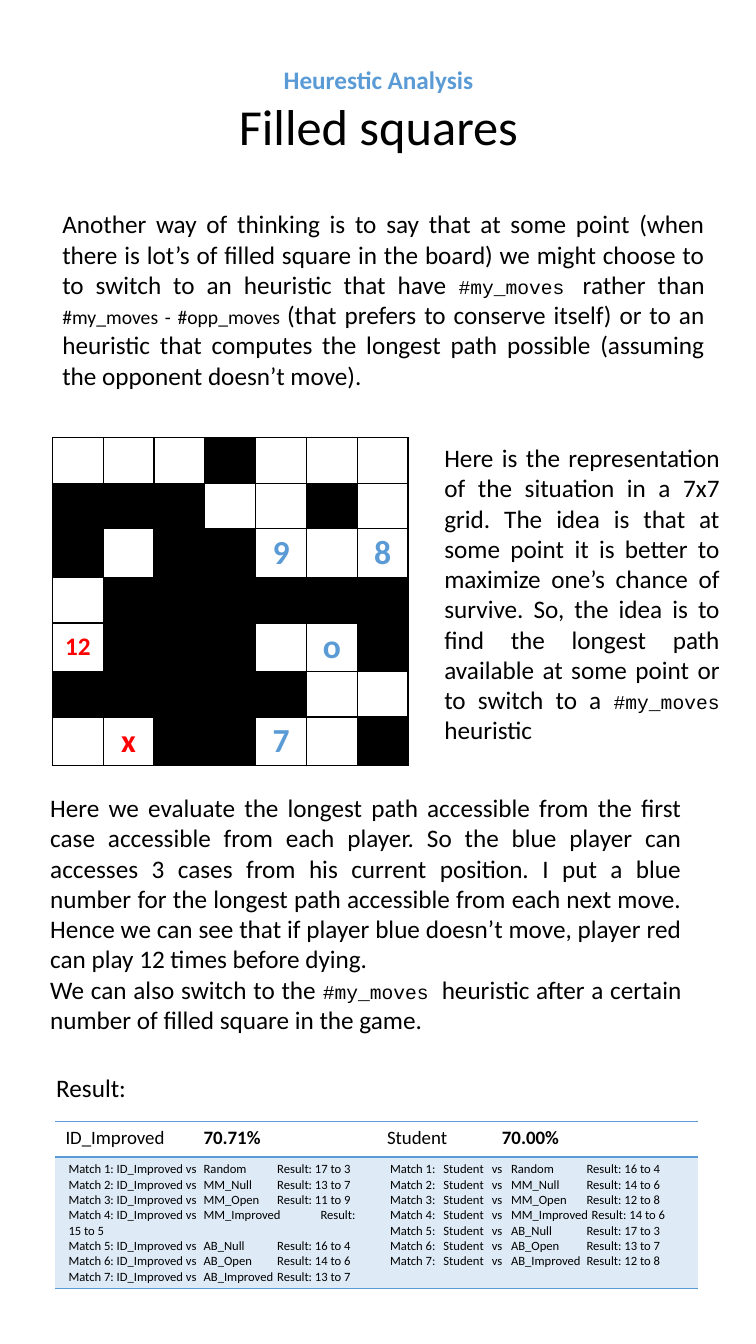
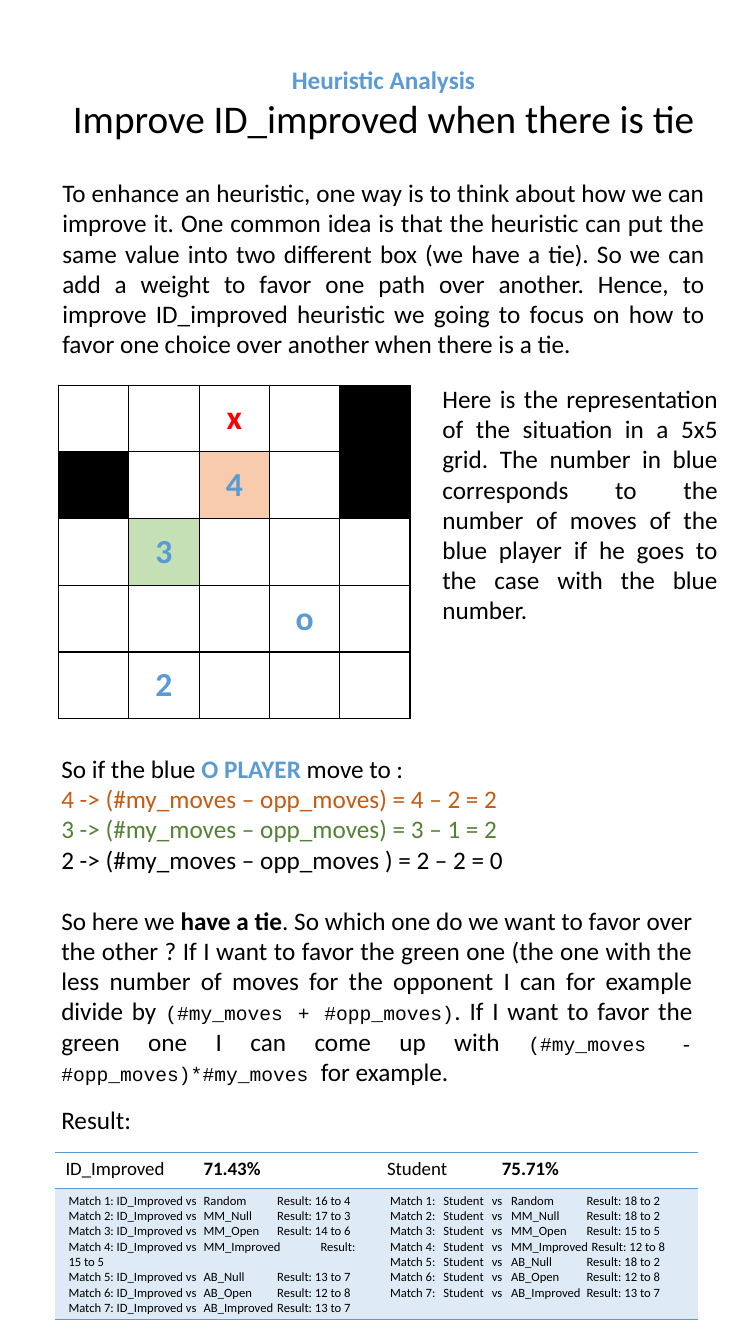
"""Build two slides of a heuristic analysis for a board game."""
from lxml.etree import SubElement
from pptx import Presentation
from pptx.dml.color import RGBColor
from pptx.enum.text import MSO_ANCHOR, MSO_AUTO_SIZE, PP_ALIGN
from pptx.oxml.ns import qn
from pptx.util import Inches, Pt

WIDTH, HEIGHT = Inches(7.5), Inches(13.33)
UNIT = WIDTH / 75
COLORS = {
    "black": "000000", "white": "FFFFFF", "blue": "5B9BD5", "red": "FF0000",
    "orange": "C55A11", "green": "548235", "peach": "F8CBAD",
    "mint": "C5E0B4", "pale": "DEEBF7",
}
BODY_FONT = "Calibri"
BODY = {"size": 18}
CODE = {"size": 14, "name": "Courier New"}
SMALL = {"size": 14}
BOLD = {"bold": True}
BLUE_BOLD = {"color": "blue", "bold": True}
OPPONENTS = ["Random", "MM_Null", "MM_Open", "MM_Improved",
             "AB_Null", "AB_Open", "AB_Improved"]
RED_PIECES = ("x", "12")


def grid(*cells):
    """Turn grid columns and rows into slide lengths."""
    return [round(cell * UNIT) for cell in cells]


def rgb(color):
    """Look up a named colour."""
    return RGBColor.from_string(COLORS[color])


def style(font, size=None, name=None, color=None, bold=None):
    """Set the given properties of a font."""
    if size:
        font.size = Pt(size)
    if name:
        font.name = name
    if color:
        font.color.rgb = rgb(color)
    if bold is not None:
        font.bold = bold


def write(paragraph, content, align=None, **look):
    """Fill a paragraph with plain text or with (text, look) pieces."""
    paragraph.alignment = align
    style(paragraph.font, **{"name": BODY_FONT, "color": "black", **look})
    pieces = [content] if isinstance(content, str) else content
    for piece in pieces:
        text, change = (piece, {}) if isinstance(piece, str) else piece
        run = paragraph.add_run()
        run.text = text
        style(run.font, **change)


def paragraphs(frame, count):
    """Yield the first paragraph of a frame and then new ones."""
    yield frame.paragraphs[0]
    for _ in range(count - 1):
        yield frame.add_paragraph()


def text_block(slide, place, lines):
    """Add a text box whose lines are (content, settings) pairs."""
    frame = slide.shapes.add_textbox(*grid(*place)).text_frame
    frame.word_wrap = True
    frame.auto_size = MSO_AUTO_SIZE.SHAPE_TO_FIT_TEXT
    for paragraph, (content, settings) in zip(paragraphs(frame, len(lines)), lines):
        write(paragraph, content, **{**BODY, **settings})
    return frame


def justified(slide, place, *contents):
    """Add justified body text."""
    return text_block(slide, place,
                      [(content, {"align": PP_ALIGN.JUSTIFY}) for content in contents])


def heading(slide, place, topic, title, size):
    """Add the blue topic line and the slide title."""
    text_block(slide, place, [
        (topic, {"align": PP_ALIGN.CENTER, **BLUE_BOLD}),
        (title, {"align": PP_ALIGN.CENTER, "size": size}),
    ])


def border(cell, **sides):
    """Draw the named sides of a cell and hide the others."""
    properties = cell._tc.get_or_add_tcPr()
    for side in "LRTB":
        line = SubElement(properties, qn(f"a:ln{side}"), w=str(Pt(1)))
        if side in sides:
            fill = SubElement(line, qn("a:solidFill"))
            SubElement(fill, qn("a:srgbClr"), val=COLORS[sides[side]])
        else:
            SubElement(line, qn("a:noFill"))


def plain_table(slide, rows, columns, place):
    """Add a table without banding or header style."""
    table = slide.shapes.add_table(rows, columns, *grid(*place)).table
    table.first_row = table.horz_banding = False
    return table


def board(slide, place, rows, inset, sizes=None, tints=None):
    """Draw a game board where # is a filled square and . an empty one."""
    squares = [row.split() for row in rows]
    table = plain_table(slide, len(squares), len(squares[0]), place)
    for y, row in enumerate(squares):
        for x, mark in enumerate(row):
            cell = table.cell(y, x)
            border(cell, **dict.fromkeys("LRTB", "black"))
            cell.fill.solid()
            tint = "black" if mark == "#" else (tints or {}).get(mark, "white")
            cell.fill.fore_color.rgb = rgb(tint)
            cell.margin_top = cell.margin_bottom = Inches(inset)
            if mark not in "#.":
                cell.vertical_anchor = MSO_ANCHOR.MIDDLE
                write(cell.text_frame.paragraphs[0], mark, PP_ALIGN.CENTER,
                      size=(sizes or {}).get(mark, 24), bold=True,
                      color="red" if mark in RED_PIECES else "blue")


def tab_stops(paragraph, stops):
    """Set left tab stops, in grid columns."""
    tabs = SubElement(paragraph._p.get_or_add_pPr(), qn("a:tabLst"))
    for stop in grid(*stops):
        SubElement(tabs, qn("a:tab"), pos=str(stop), algn="l")


def results(slide, top, improved, student):
    """Add the match table of both players from (rate, scores) pairs."""
    text_block(slide, (4.6 if top < 112 else 5.1, top - 5.3, 64.6, 4),
               [("Result:", {})])
    table = plain_table(slide, 2, 2, (5.5, top, 63.8, 15))
    table.rows[0].height, table.rows[1].height = grid(3.55, 11.5)
    players = [
        ("ID_Improved", improved, "Match {}: ID_Improved vs\t", [13.7], [13.4, 20.7]),
        ("Student", student, "Match {}:\tStudent\tvs\t", [11.4],
         [5.3, 10.1, 12, 19.5]),
    ]
    for column, (player, (rate, scores), match, rate_stop, stops) in enumerate(players):
        header, body = table.cell(0, column), table.cell(1, column)
        border(header, T="blue", B="blue")
        border(body, T="blue", B="blue")
        header.fill.background()
        body.fill.solid()
        body.fill.fore_color.rgb = rgb("pale")
        body.margin_left = Inches(0.13)
        title = header.text_frame.paragraphs[0]
        tab_stops(title, rate_stop)
        write(title, [player, (f"\t{rate}", BOLD)], size=13.5)
        lines = paragraphs(body.text_frame, len(OPPONENTS))
        for number, (line, opponent, won) in enumerate(zip(lines, OPPONENTS, scores), 1):
            tab_stops(line, stops)
            write(line, f"{match.format(number)}{opponent}\tResult: {won} to {20 - won}",
                  size=9)


def filled_squares(slide):
    """Build the slide about filled squares."""
    heading(slide, (13.9, 5.9, 47.3, 10.1), "Heurestic Analysis", "Filled squares", 36)
    justified(slide, (5.2, 20.2, 65.7, 19.2), [
        "Another way of thinking is to say that at some point (when there is lot’s of "
        "filled square in the board) we might choose to to switch to an heuristic that "
        "have ", ("#my_moves ", CODE), "rather than ",
        ("#my_moves - #opp_moves ", SMALL),
        "(that prefers to conserve itself) or to an heuristic that computes the longest "
        "path possible (assuming the opponent doesn’t move).",
    ])
    justified(slide, (43.1, 43.4, 29.3, 31.3), [
        "Here is the representation of the situation in a 7x7 grid. The idea is that at "
        "some point it is better to maximize one’s chance of survive. So, the idea is to "
        "find the longest path available at some point or to switch to a ",
        ("#my_moves ", CODE), "heuristic",
    ])
    justified(
        slide, (4, 78.1, 64.6, 25.2),
        "Here we evaluate the longest path accessible from the first case accessible "
        "from each player. So the blue player can accesses 3 cases from his current "
        "position. I put a blue number for the longest path accessible from each next "
        "move. Hence we can see that if player blue doesn’t move, player red can play "
        "12 times before dying.",
        ["We can also switch to the ", ("#my_moves ", CODE),
         "heuristic after a certain number of filled square in the game."],
    )
    board(slide, (5.2, 43.4, 35.3, 31.7), [
        ". . . # . . .",
        "# # # . . # .",
        "# . # # 9 . 8",
        ". # # # # # #",
        "12 # # # . o #",
        "# # # # # . .",
        ". x # # 7 . #",
    ], 0.04, sizes={"12": 18, "x": 23})
    results(slide, 111.2, ("70.71%", [17, 13, 11, 15, 16, 14, 13]),
            ("70.00%", [16, 14, 12, 14, 17, 13, 12]))


def improve_on_tie(slide):
    """Build the slide about favouring a move when there is a tie."""
    heading(slide, (5.2, 5.9, 65.7, 8.8), "Heuristic Analysis",
            "Improve ID_improved when there is tie", 28)
    justified(
        slide, (5.2, 17.1, 65.7, 19.2),
        "To enhance an heuristic, one way is to think about how we can improve it. One "
        "common idea is that the heuristic can put the same value into two different box "
        "(we have a tie). So we can add a weight to favor one path over another. Hence, "
        "to improve ID_improved heuristic we going to focus on how to favor one choice "
        "over another when there is a tie.")
    justified(
        slide, (42.9, 37.5, 29.3, 25.2),
        "Here is the representation of the situation in a 5x5 grid. The number in blue "
        "corresponds to the number of moves of the blue player if he goes to the case "
        "with the blue number.")
    moves = text_block(slide, (5.1, 74.2, 64.6, 34.3), [
        (["So if the blue ", ("O PLAYER ", BLUE_BOLD), "move to :"], {}),
        ("4 -> (#my_moves – opp_moves) = 4 – 2 = 2", {"color": "orange"}),
        ("3 -> (#my_moves – opp_moves) = 3 – 1 = 2", {"color": "green"}),
        ("2 -> (#my_moves – opp_moves ) = 2 – 2 = 0", {}),
        (["So here we ", ("have a tie", BOLD),
          ". So which one do we want to favor over the other ? If I want to favor the "
          "green one (the one with the less number of moves for the opponent I can for "
          "example divide by ", ("(#my_moves + #opp_moves)", CODE),
          ". If I want to favor the green one I can come up with ",
          ("(#my_moves - #opp_moves)*#my_moves ", CODE), "for example."],
         {"align": PP_ALIGN.JUSTIFY}),
    ])
    moves.paragraphs[-1].space_before = Pt(22)
    board(slide, (5.8, 38.2, 34.9, 33.1), [
        ". . x . #",
        "# . 4 . #",
        ". 3 . . .",
        ". . . o .",
        ". 2 . . .",
    ], 0.07, tints={"4": "peach", "3": "mint"})
    results(slide, 114.3, ("71.43%", [16, 17, 14, 15, 13, 12, 13]),
            ("75.71%", [18, 18, 15, 12, 18, 12, 13]))


def main():
    """Build and save the presentation."""
    deck = Presentation()
    deck.slide_width, deck.slide_height = WIDTH, HEIGHT
    for build in (filled_squares, improve_on_tie):
        build(deck.slides.add_slide(deck.slide_layouts[6]))
    deck.save("out.pptx")


if __name__ == "__main__":
    main()
